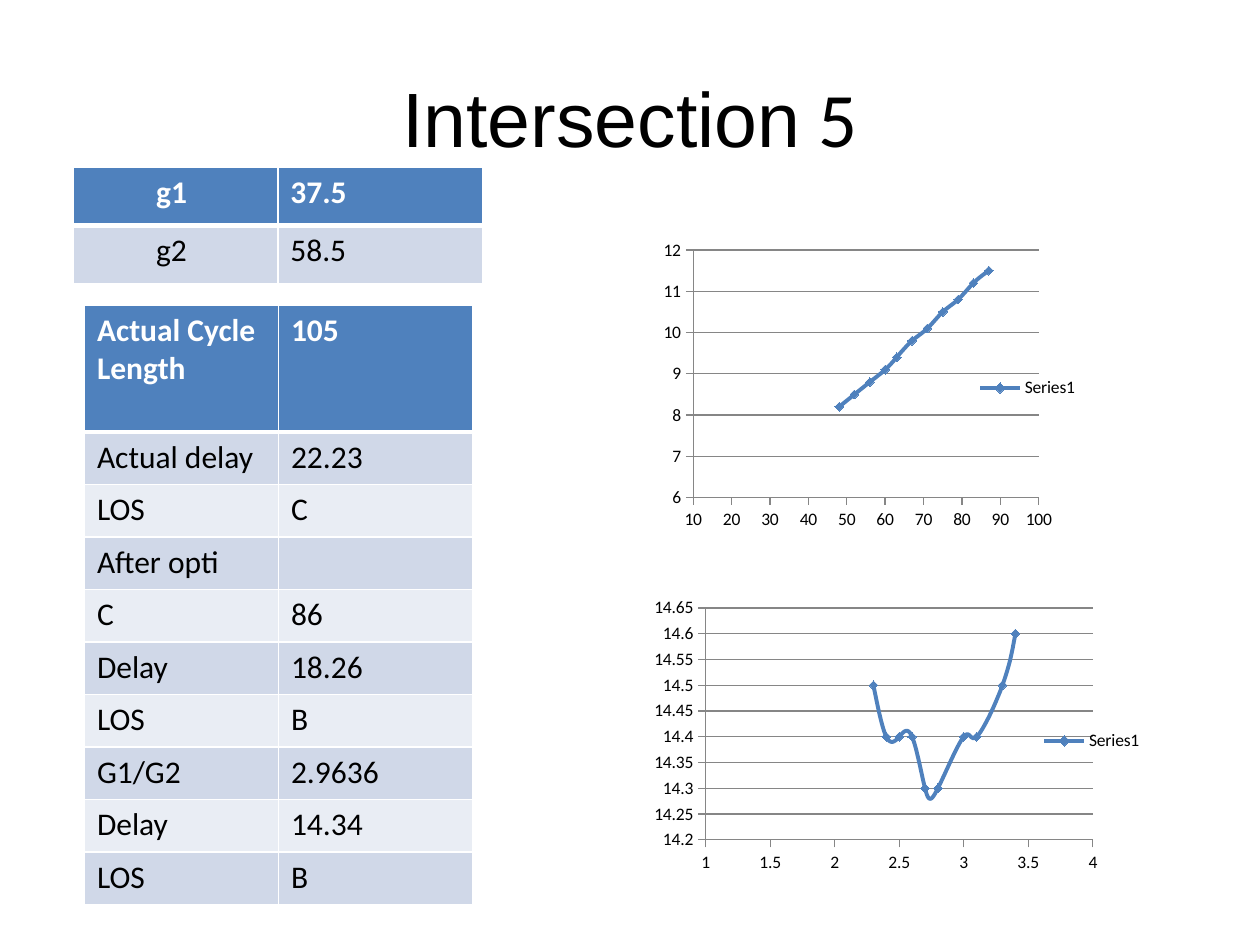
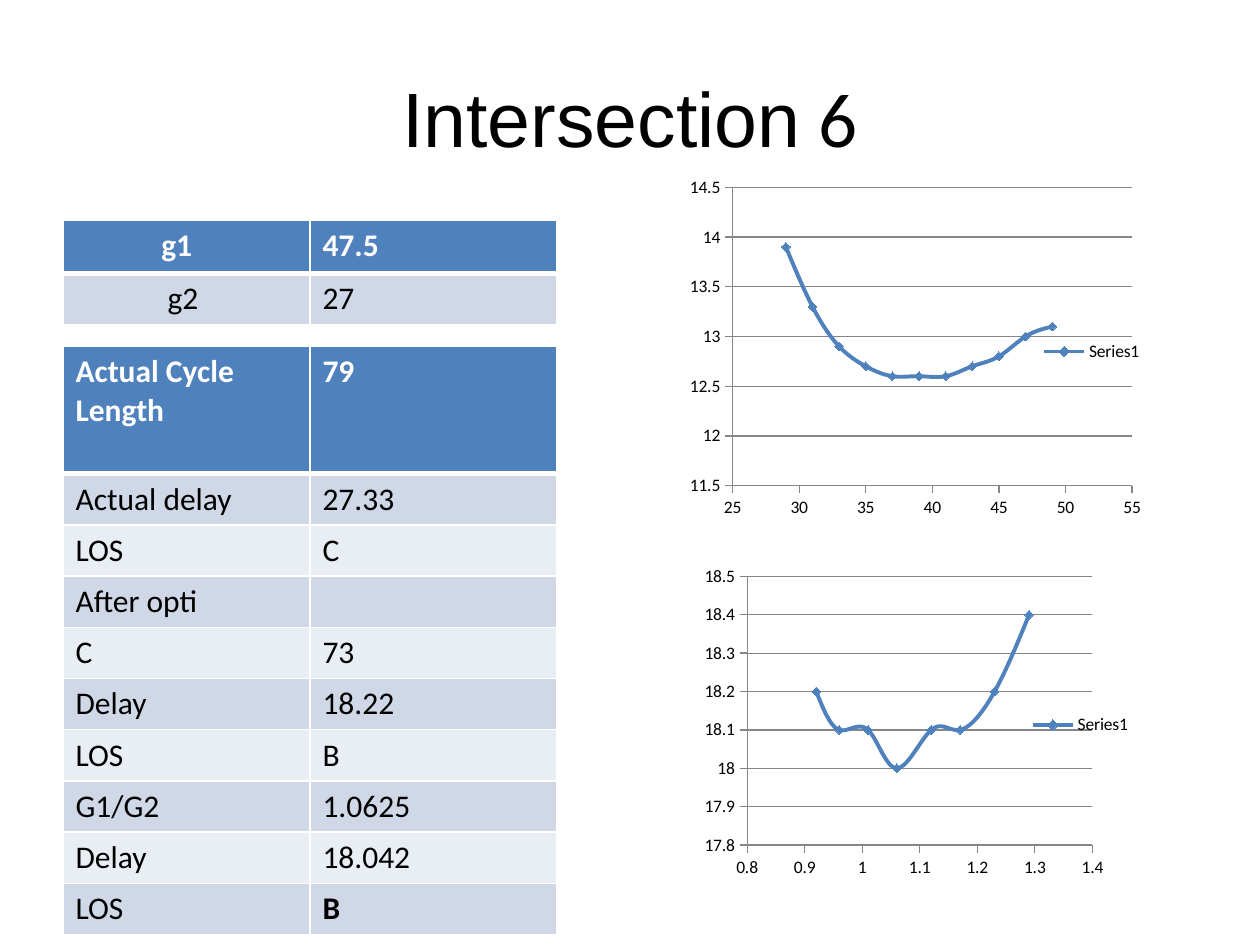
from lxml.etree import SubElement
from pptx import Presentation
from pptx.chart.data import XyChartData
from pptx.dml.color import RGBColor
from pptx.enum.chart import XL_CHART_TYPE, XL_LEGEND_POSITION, XL_MARKER_STYLE, XL_TICK_MARK
from pptx.enum.text import MSO_ANCHOR, PP_ALIGN
from pptx.oxml.ns import qn
from pptx.util import Inches, Pt

COLORS = {"text": "000000", "white": "FFFFFF", "accent": "4F81BD",
          "odd": "D0D8E8", "even": "E9EDF4", "axis": "868686"}
LABELS = ["Actual Cycle Length", "Actual delay", "LOS", "After opti", "C",
          "Delay", "LOS", "G1/G2", "Delay", "LOS"]
INTERSECTIONS = [
    {"number": "5",
     "greens": {"at": (0.58, 1.33, 3.25, 0.92), "head": 0.46, "indents": (0.56, 0.56),
                "rows": [("g1", "37.5"), ("g2", "58.5")]},
     "results": {"at": (0.67, 2.42, 3.08, 4.76), "head": 1.01,
                 "rows": list(zip(LABELS, ["105", "22.23", "C", "", "86", "18.26", "B",
                                           "2.9636", "14.34", "B"]))},
     "charts": [
         {"at": (5, 4.67, 4.17, 2.42), "plot": (0.144, 0.064, 0.737, 0.761),
          "x_axis": (1, 4, 0.5), "y_axis": (14.2, 14.65, 0.05),
          "x": [2.3, 2.4, 2.5, 2.6, 2.7, 2.8, 3, 3.1, 3.3, 3.4],
          "y": [14.5, 14.4, 14.4, 14.4, 14.3, 14.3, 14.4, 14.4, 14.5, 14.6]},
         {"at": (5.08, 1.83, 3.58, 2.5), "plot": (0.118, 0.062, 0.766, 0.786),
          "x_axis": (10, 100, 10), "y_axis": (6, 12, 1),
          "x": [48, 52, 56, 60, 63, 67, 71, 75, 79, 83, 87],
          "y": [8.2, 8.5, 8.8, 9.1, 9.4, 9.8, 10.1, 10.5, 10.8, 11.2, 11.5]}]},
    {"number": "6",
     "greens": {"at": (0.5, 1.75, 3.92, 0.83), "head": 0.42, "indents": (0.68, 0.73),
                "rows": [("g1", "47.5"), ("g2", "27")]},
     "results": {"at": (0.5, 2.75, 3.92, 4.67), "head": 1.01, "bold_last": True,
                 "rows": list(zip(LABELS, ["79", "27.33", "C", "", "73", "18.22", "B",
                                           "1.0625", "18.042", "B"]))},
     "charts": [
         {"at": (5.33, 4.42, 3.75, 2.67), "plot": (0.16, 0.058, 0.731, 0.799),
          "x_axis": (0.8, 1.4, 0.1), "y_axis": (17.8, 18.5, 0.1),
          "x": [0.92, 0.96, 1.01, 1.06, 1.12, 1.17, 1.23, 1.29],
          "y": [18.2, 18.1, 18.1, 18, 18.1, 18.1, 18.2, 18.4]},
         {"at": (5.25, 1.33, 3.92, 2.92), "plot": (0.144, 0.054, 0.809, 0.811),
          "x_axis": (25, 55, 5), "y_axis": (11.5, 14.5, 0.5),
          "x": [29, 31, 33, 35, 37, 39, 41, 43, 45, 47, 49],
          "y": [13.9, 13.3, 12.9, 12.7, 12.6, 12.6, 12.6, 12.7, 12.8, 13, 13.1]}]},
]


def rgb(name):
    return RGBColor.from_string(COLORS[name])


def box(at):
    return [Inches(v) for v in at]


def add_text(p, text, size=18, font="Calibri", color="text", bold=False):
    r = p.add_run()
    r.text = text
    r.font.size, r.font.name, r.font.bold = Pt(size), font, bold
    r.font.color.rgb = rgb(color)


def add_title(s, number):
    tf = s.shapes.add_textbox(*box((0.5, 0.3, 9, 1.25))).text_frame
    tf.word_wrap, tf.vertical_anchor = True, MSO_ANCHOR.MIDDLE
    p = tf.paragraphs[0]
    p.alignment = PP_ALIGN.CENTER
    add_text(p, "Intersection", size=44, font="Arial")
    add_text(p, f" {number}", size=44)


def set_borders(cell, **widths):
    tcPr = cell._tc.get_or_add_tcPr()
    for i, side in enumerate("LRTB"):
        ln = tcPr.makeelement(qn(f"a:ln{side}"), {"w": str(Pt(widths.get(side, 1)))})
        fill = SubElement(ln, qn("a:solidFill"))
        SubElement(fill, qn("a:srgbClr"), val=COLORS["white"])
        tcPr.insert(i, ln)


def add_table(s, at, head, rows, indents=(), bold_last=False):
    table = s.shapes.add_table(len(rows), 2, *box(at)).table
    for i, row in enumerate(rows):
        table.rows[i].height = Inches(head if i == 0 else (at[3] - head) / (len(rows) - 1))
        for j, text in enumerate(row):
            cell = table.cell(i, j)
            cell.fill.solid()
            cell.fill.fore_color.rgb = rgb("accent" if i == 0 else "odd" if i % 2 else "even")
            if j == 0 and indents:
                cell.margin_left = Inches(0.1 + indents[i])
            last = i == len(rows) - 1 and j == 1
            if text:
                add_text(cell.text_frame.paragraphs[0], text,
                         color="text" if i else "white", bold=i == 0 or bold_last and last)
            else:
                cell.text_frame.paragraphs[0].font.size = Pt(18)
            set_borders(cell, T=3 if i == 1 else 1, B=1 if i else 3)


def style_axis(axis, scale, grid):
    axis.minimum_scale, axis.maximum_scale, axis.major_unit = scale
    axis.has_major_gridlines = grid
    axis.major_tick_mark, axis.minor_tick_mark = XL_TICK_MARK.OUTSIDE, XL_TICK_MARK.NONE
    axis.tick_labels.number_format = "General"
    axis.tick_labels.number_format_is_linked = False
    for part in [axis] + ([axis.major_gridlines] if grid else []):
        part.format.line.color.rgb = rgb("axis")
        part.format.line.width = Pt(0.75)


def place_plot(chart, plot):
    area = chart._chartSpace.chart.plotArea
    for old in area.findall(qn("c:layout")):
        area.remove(old)
    layout = area.makeelement(qn("c:layout"), {})
    area.insert(0, layout)
    manual = SubElement(layout, qn("c:manualLayout"))
    values = ["inner", "edge", "edge", *plot]
    for tag, value in zip(["layoutTarget", "xMode", "yMode", "x", "y", "w", "h"], values):
        SubElement(manual, qn(f"c:{tag}"), val=str(value))


def smooth_line(series):
    ser = series._element
    for old in ser.findall(qn("c:smooth")):
        ser.remove(old)
    ser.find(qn("c:yVal")).addnext(ser.makeelement(qn("c:smooth"), {"val": "1"}))


def add_chart(s, at, plot, x_axis, y_axis, x, y):
    data = XyChartData()
    series = data.add_series("Series1")
    for point in zip(x, y):
        series.add_data_point(*point)
    chart = s.shapes.add_chart(XL_CHART_TYPE.XY_SCATTER_SMOOTH, *box(at), data).chart
    chart.font.size, chart.font.name = Pt(10), "Calibri"
    chart.font.color.rgb = rgb("text")
    chart.has_title = False
    chart.has_legend = True
    chart.legend.position = XL_LEGEND_POSITION.RIGHT
    chart.legend.include_in_layout = False
    style_axis(chart.category_axis, x_axis, False)
    style_axis(chart.value_axis, y_axis, True)
    chart.plots[0].vary_by_categories = False
    line = chart.plots[0].series[0]
    smooth_line(line)
    line.format.line.color.rgb = rgb("accent")
    line.format.line.width = Pt(2.25)
    line.marker.style, line.marker.size = XL_MARKER_STYLE.DIAMOND, 5
    line.marker.format.fill.solid()
    line.marker.format.fill.fore_color.rgb = rgb("accent")
    line.marker.format.line.color.rgb = rgb("accent")
    place_plot(chart, plot)


def main():
    """Build one slide of signal timing results per intersection."""
    prs = Presentation()
    prs.slide_width, prs.slide_height = Inches(10), Inches(7.5)
    for item in INTERSECTIONS:
        s = prs.slides.add_slide(prs.slide_layouts[6])
        add_title(s, item["number"])
        add_table(s, **item["greens"])
        add_table(s, **item["results"])
        for chart in item["charts"]:
            add_chart(s, **chart)
    prs.save("out.pptx")


if __name__ == "__main__":
    main()
